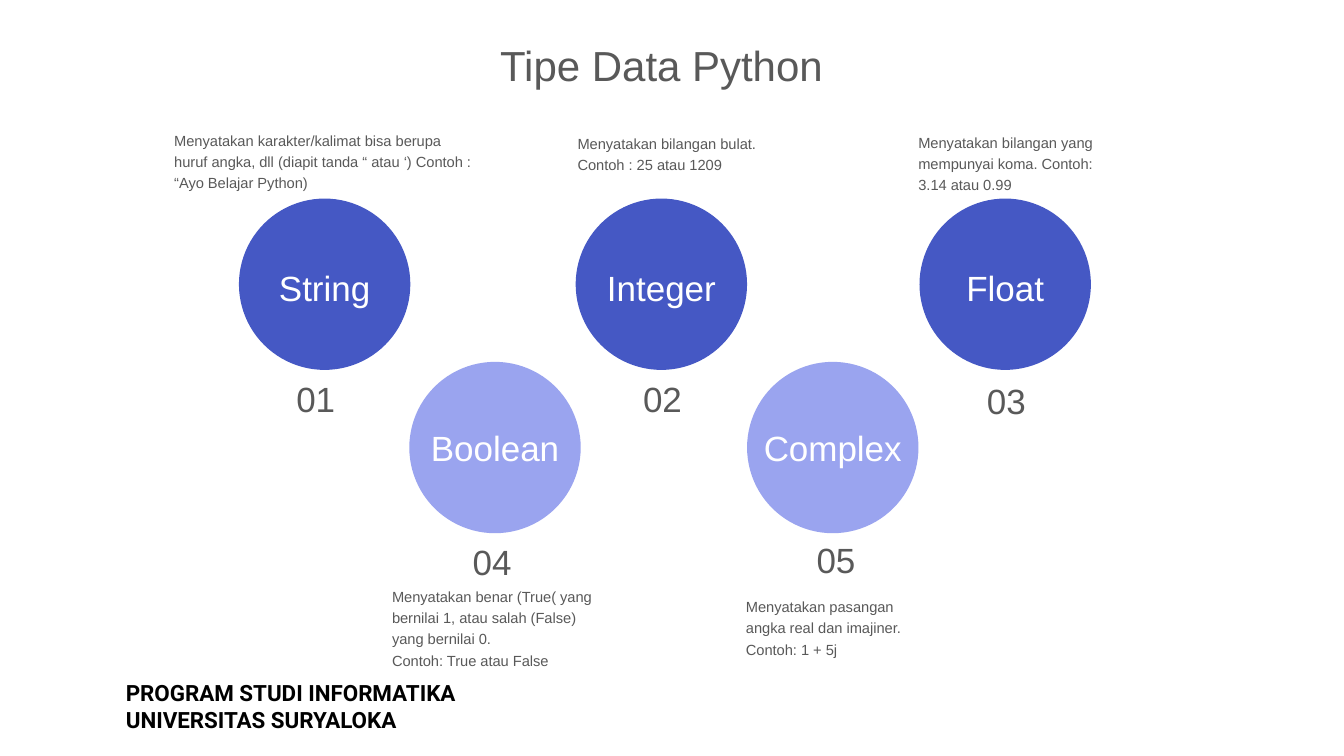
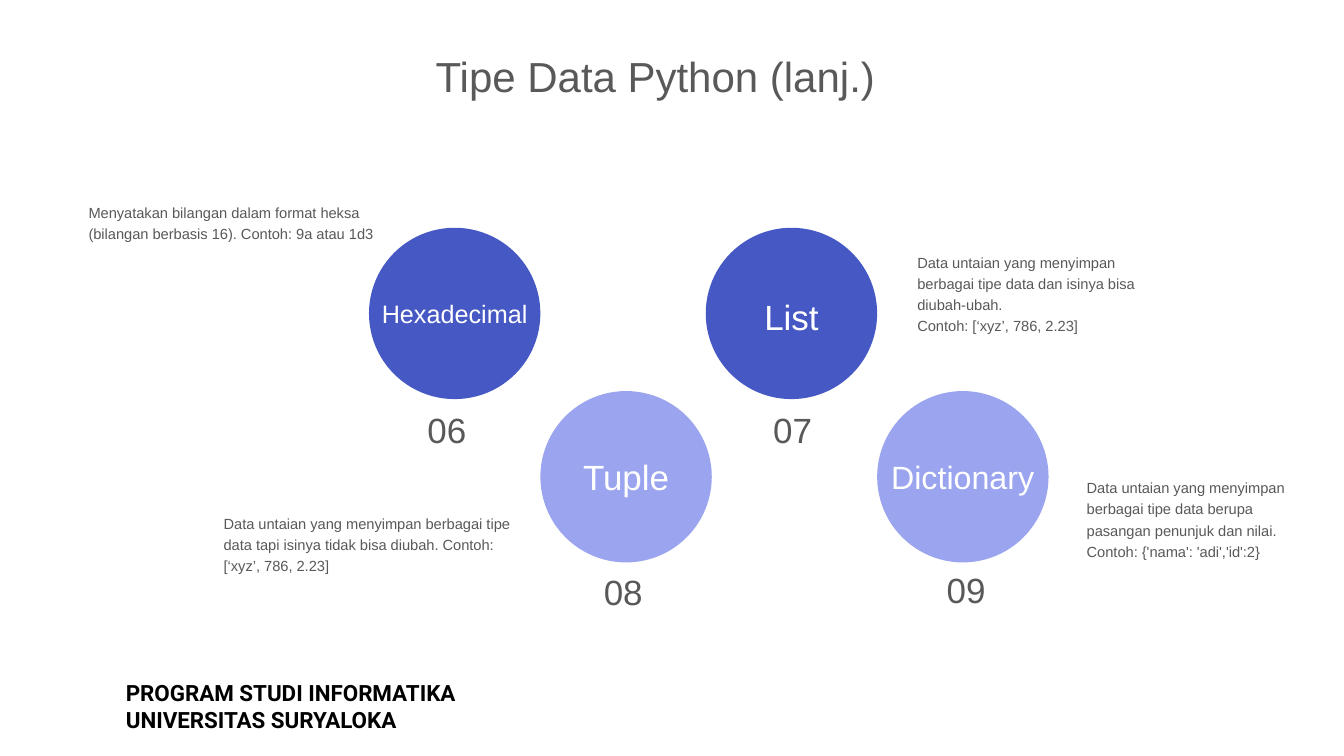
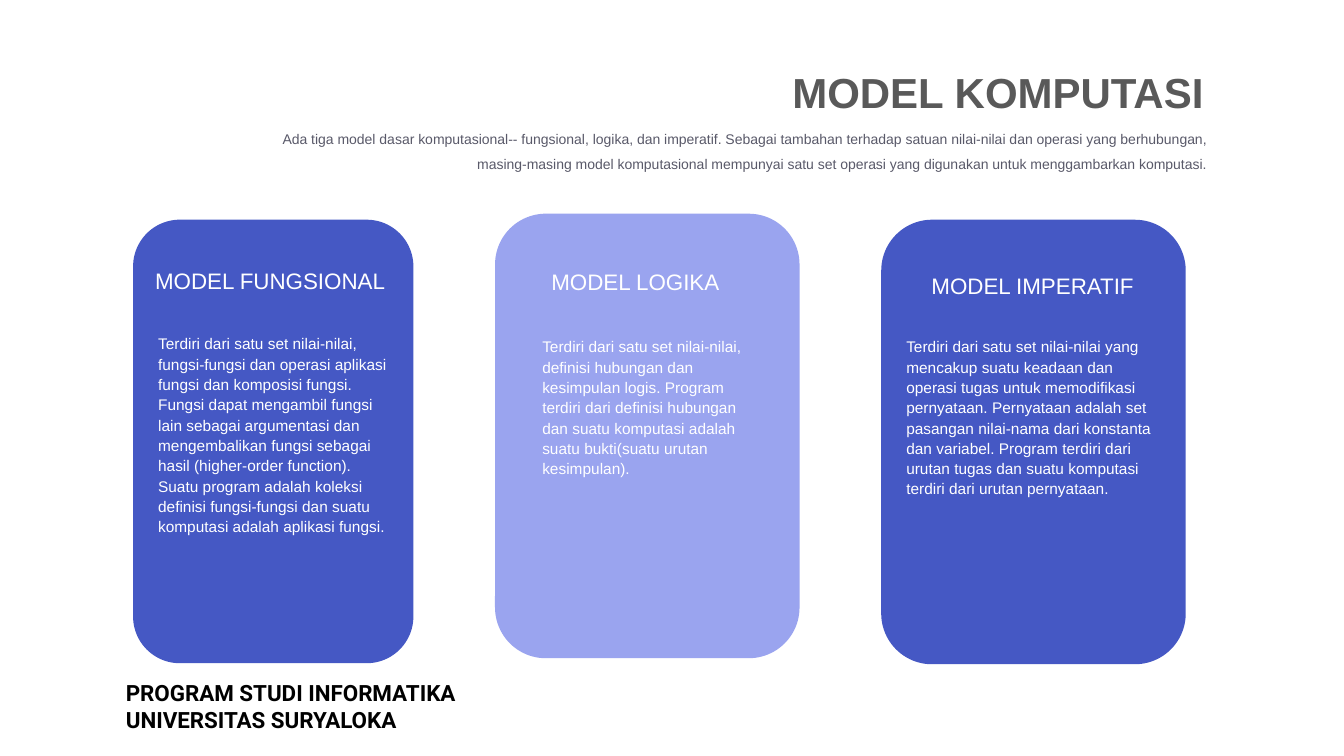
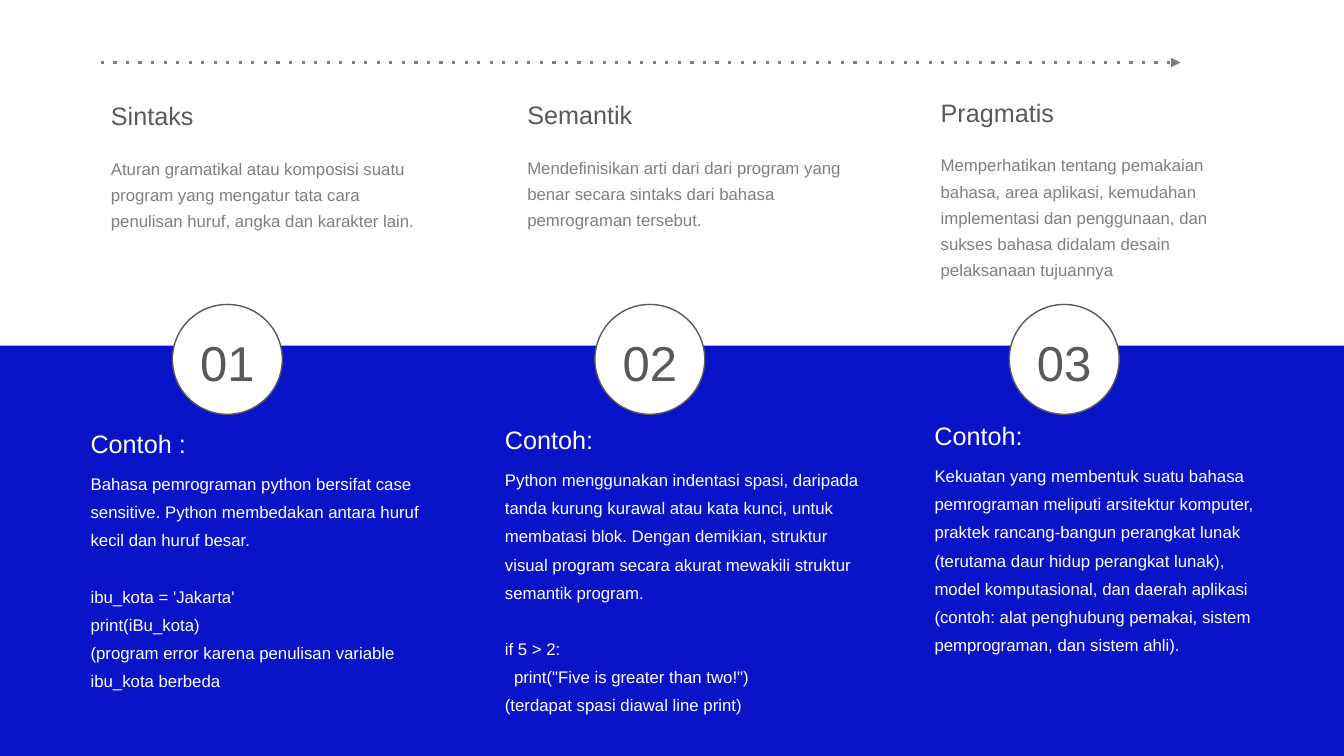
"""Build four slides on Python data types, models of computation and language rules."""
from lxml.etree import SubElement
from pptx import Presentation
from pptx.dml.color import RGBColor
from pptx.enum.shapes import MSO_CONNECTOR, MSO_SHAPE
from pptx.enum.text import MSO_ANCHOR, PP_ALIGN
from pptx.oxml.ns import qn
from pptx.util import Inches, Pt

HUES = {"dark": "4558C4", "pale": "9AA4EF", "band": "0913C8", "white": "FFFFFF",
        "black": "000000", "text": "595959", "intro": "595969", "soft": "7F7F7F"}
FOOT = ["PROGRAM STUDI INFORMATIKA", "UNIVERSITAS SURYALOKA"]
LEFT, MID, RIGHT = PP_ALIGN.LEFT, PP_ALIGN.CENTER, PP_ALIGN.RIGHT


def put(slide, area, kind=None, fill=None, edge=None):
    """Add a text box or a filled shape and return its text frame."""
    area = [Inches(n) for n in area]
    if kind is None:
        return slide.shapes.add_textbox(*area).text_frame
    shape = slide.shapes.add_shape(kind, *area)
    shape.shadow.inherit = False
    shape.fill.solid()
    shape.fill.fore_color.rgb = RGBColor.from_string(HUES[fill])
    if edge:
        shape.line.color.rgb = RGBColor.from_string(HUES[edge])
        shape.line.width = Pt(1)
    else:
        shape.line.fill.background()
    return shape.text_frame


def write(frame, lines, size, hue="text", gap=1.0, align=LEFT, bold=False,
          font="Arial", pad=(0.1, 0.05), wrap=True, anchor=MSO_ANCHOR.TOP):
    """Fill a text frame, one paragraph a line."""
    frame.word_wrap = wrap
    frame.vertical_anchor = anchor
    frame.margin_left = frame.margin_right = Inches(pad[0])
    frame.margin_top = frame.margin_bottom = Inches(pad[1])
    for i, line in enumerate(lines):
        para = frame.add_paragraph() if i else frame.paragraphs[0]
        para.alignment = align
        para.line_spacing = gap
        run = para.add_run()
        run.text = line
        run.font.name = font
        run.font.size = Pt(size)
        run.font.bold = bold
        run.font.color.rgb = RGBColor.from_string(HUES[hue])


deck = Presentation()
deck.slide_width, deck.slide_height = Inches(13.33), Inches(7.5)

titles = [
    ("Tipe Data Python", (4.86, 0.34, 4.9, 0.6), LEFT, False),
    ("Tipe Data Python (lanj.)", (4.22, 0.45, 4.9, 0.6), LEFT, False),
    ("MODEL KOMPUTASI", (7.29, 0.61, 4.75, 0.61), RIGHT, True),
]
for name, area, align, bold in titles:
    slide = deck.slides.add_slide(deck.slide_layouts[5])
    title = slide.shapes.title
    title.left, title.top, title.width, title.height = [Inches(n) for n in area]
    write(title.text_frame, [name], 30, align=align, bold=bold)
    write(put(slide, (1.15, 6.69, 6.56, 0.64)), FOOT, 16, "black", bold=True, font="Roboto")

types = [
    [
        ("String", 25, "dark", 2.37, 1.97, "01", 2.84, 3.7, (1.63, 1.22, 3.17, 0.72),
         ["Menyatakan karakter/kalimat bisa berupa huruf angka, dll (diapit tanda “ atau ‘) "
          "Contoh : “Ayo Belajar Python)"]),
        ("Integer", 25, "dark", 5.71, 1.97, "02", 6.28, 3.7, (5.63, 1.25, 2.22, 0.51),
         ["Menyatakan bilangan bulat. Contoh : 25 atau 1209"]),
        ("Float", 25, "dark", 9.12, 1.97, "03", 9.69, 3.72, (9.01, 1.24, 1.98, 0.72),
         ["Menyatakan bilangan yang mempunyai koma. Contoh: 3.14 atau 0.99"]),
        ("Boolean", 25, "pale", 4.06, 3.59, "04", 4.59, 5.31, (3.79, 5.75, 2.24, 0.93),
         ["Menyatakan benar (True( yang bernilai 1, atau salah (False) yang bernilai 0.",
          "Contoh: True atau False"]),
        ("Complex", 25, "pale", 7.41, 3.59, "05", 8, 5.29, (7.3, 5.85, 2.02, 0.72),
         ["Menyatakan pasangan angka real dan imajiner. Contoh: 1 + 5j"]),
    ],
    [
        ("Hexadecimal", 18, "dark", 3.66, 2.26, "06", 4.14, 4, (0.78, 1.94, 3.17, 0.72),
         ["Menyatakan bilangan dalam format heksa (bilangan berbasis 16). "
          "Contoh: 9a atau 1d3"]),
        ("List", 25, "dark", 7, 2.26, "07", 7.57, 4, (9, 2.43, 2.68, 0.93),
         ["Data untaian yang menyimpan berbagai tipe data dan isinya bisa diubah-ubah.",
          "Contoh: [‘xyz’, 786, 2.23]"]),
        ("Tuple", 25, "pale", 5.36, 3.88, "08", 5.89, 5.61, (2.12, 5.02, 3.17, 0.72),
         ["Data untaian yang menyimpan berbagai tipe data tapi isinya tidak bisa diubah. "
          "Contoh: [‘xyz’, 786, 2.23]"]),
        ("Dictionary", 23, "pale", 8.7, 3.88, "09", 9.29, 5.59, (10.68, 4.67, 2.38, 0.93),
         ["Data untaian yang menyimpan berbagai tipe data berupa pasangan penunjuk dan nilai. "
          "Contoh: {'nama': 'adi','id':2}"]),
    ],
]
for slide, group in zip(deck.slides, types):
    for name, size, fill, x, y, num, left, top, area, note in group:
        disc = put(slide, (x, y, 1.7, 1.7), MSO_SHAPE.OVAL, fill)
        write(disc, [name], size, "white", align=MID, pad=(0, 0), wrap=False,
              anchor=MSO_ANCHOR.MIDDLE)
        if fill == "dark" and size == 25:
            disc.margin_top = Inches(0.06)
        write(put(slide, (left, top, 0.75, 0.52)), [num], 25)
        write(put(slide, area), note, 10.5, gap=1.2)

slide = deck.slides[2]
write(put(slide, (2.64, 1.21, 9.32, 0.48)),
      ["Ada tiga model dasar komputasional-- fungsional, logika, dan imperatif. Sebagai tambahan "
       "terhadap satuan nilai-nilai dan operasi yang berhubungan, masing-masing model "
       "komputasional mempunyai satu set operasi yang digunakan untuk menggambarkan komputasi."],
      10, "intro", 1.5, RIGHT, pad=(0, 0))
models = [
    ("MODEL FUNGSIONAL", "dark", (1.32, 2.18, 2.78, 4.4), (1.44, 2.6, 2.67, 0.37),
     (1.47, 3.25, 2.5, 3.28),
     "Terdiri dari satu set nilai-nilai, fungsi-fungsi dan operasi aplikasi fungsi dan komposisi "
     "fungsi. Fungsi dapat mengambil fungsi lain sebagai argumentasi dan mengembalikan fungsi "
     "sebagai hasil (higher-order function). Suatu program adalah koleksi definisi fungsi-fungsi "
     "dan suatu komputasi adalah aplikasi fungsi."),
    ("MODEL LOGIKA", "pale", (4.91, 2.12, 3.02, 4.41), (5.37, 2.61, 2.12, 0.37),
     (5.28, 3.28, 2.35, 1.47),
     "Terdiri dari satu set nilai-nilai, definisi hubungan dan kesimpulan logis. Program terdiri "
     "dari definisi hubungan dan suatu komputasi adalah suatu bukti(suatu urutan kesimpulan)."),
    ("MODEL IMPERATIF", "dark", (8.74, 2.18, 3.02, 4.41), (9.14, 2.65, 2.46, 0.37),
     (8.89, 3.28, 2.72, 1.47),
     "Terdiri dari satu set nilai-nilai yang mencakup suatu keadaan dan operasi tugas untuk "
     "memodifikasi pernyataan. Pernyataan adalah set pasangan nilai-nama dari konstanta dan "
     "variabel. Program terdiri dari urutan tugas dan suatu komputasi terdiri dari urutan "
     "pernyataan."),
]
for name, fill, card, head, body, note in models:
    put(slide, card, MSO_SHAPE.ROUNDED_RECTANGLE, fill)
    write(put(slide, head), [name], 16, "white")
    write(put(slide, body), [note], 11, "white", 1.1)

slide = deck.slides.add_slide(deck.slide_layouts[6])
put(slide, (0, 3.43, 13.33, 4.07), MSO_SHAPE.RECTANGLE, "band")
arrow = slide.shapes.add_connector(MSO_CONNECTOR.STRAIGHT, Inches(1), Inches(0.62),
                                   Inches(11.71), Inches(0.62))
arrow.line.color.rgb = RGBColor.from_string(HUES["soft"])
arrow.line.width = Pt(2.25)
props = arrow._element.spPr
stroke = props.find(qn("a:ln"))
SubElement(stroke, qn("a:prstDash"), val="dot")
SubElement(stroke, qn("a:tailEnd"), type="triangle")
SubElement(props, qn("a:effectLst"))

rules = [
    ("Sintaks", 1.1, 0.94, 1.71, "Contoh :", 0.8, 4.2, 3.49,
     "Aturan gramatikal atau komposisi suatu program yang mengatur tata cara penulisan huruf, "
     "angka dan karakter lain.",
     ["Bahasa pemrograman python bersifat case sensitive. Python membedakan antara huruf kecil "
      "dan huruf besar.",
      "ibu_kota = 'Jakarta'", "print(iBu_kota)",
      "(program error karena penulisan variable ibu_kota berbeda"]),
    ("Semantik", 5.23, 0.93, 5.9, "Contoh:", 4.91, 4.16, 3.77,
     "Mendefinisikan arti dari dari program yang benar secara sintaks dari bahasa pemrograman "
     "tersebut.",
     ["Python menggunakan indentasi spasi, daripada tanda kurung kurawal atau kata kunci, untuk "
      "membatasi blok. Dengan demikian, struktur visual program secara akurat mewakili struktur "
      "semantik program.",
      "if 5 > 2:", "print(\"Five is greater than two!\")",
      "(terdapat spasi diawal line print)"]),
    ("Pragmatis", 9.33, 0.91, 10.01, "Contoh:", 9.17, 4.12, 3.49,
     "Memperhatikan tentang pemakaian bahasa, area aplikasi, kemudahan implementasi dan "
     "penggunaan, dan sukses bahasa didalam desain pelaksanaan tujuannya",
     ["Kekuatan yang membentuk suatu bahasa pemrograman meliputi arsitektur komputer, praktek "
      "rancang-bangun perangkat lunak (terutama daur hidup perangkat lunak), model komputasional, "
      "dan daerah aplikasi (contoh: alat penghubung pemakai, sistem pemprograman, dan sistem "
      "ahli)."]),
]
for i, (name, x, y, ring, label, left, top, width, note, lines) in enumerate(rules, 1):
    write(put(slide, (x, y, 1.25, 0.33)), [name], 18, gap=1.2, pad=(0, 0))
    write(put(slide, (x, y + 0.57, 3.13, 1.29)), [note], 12, "soft", 1.3, pad=(0, 0))
    disc = put(slide, (ring, 3.02, 1.09, 1.09), MSO_SHAPE.OVAL, "white", "text")
    write(disc, [f"{i:02}"], 35, align=MID, pad=(0, 0), wrap=False, anchor=MSO_ANCHOR.MIDDLE)
    disc.margin_top = Inches(0.06)
    write(put(slide, (left, top, 1.23, 0.4)), [label], 18, "white")
    body = put(slide, (left, top + 0.37, width, 2.6))
    write(body, lines, 12, "white", 1.4)
    for para in body.paragraphs[1:2]:
        para.space_before = Pt(20)
    for para in body.paragraphs:
        if para.text.startswith("print(\""):
            para._p.get_or_add_pPr().set("marL", str(Inches(0.09)))

deck.save("out.pptx")
